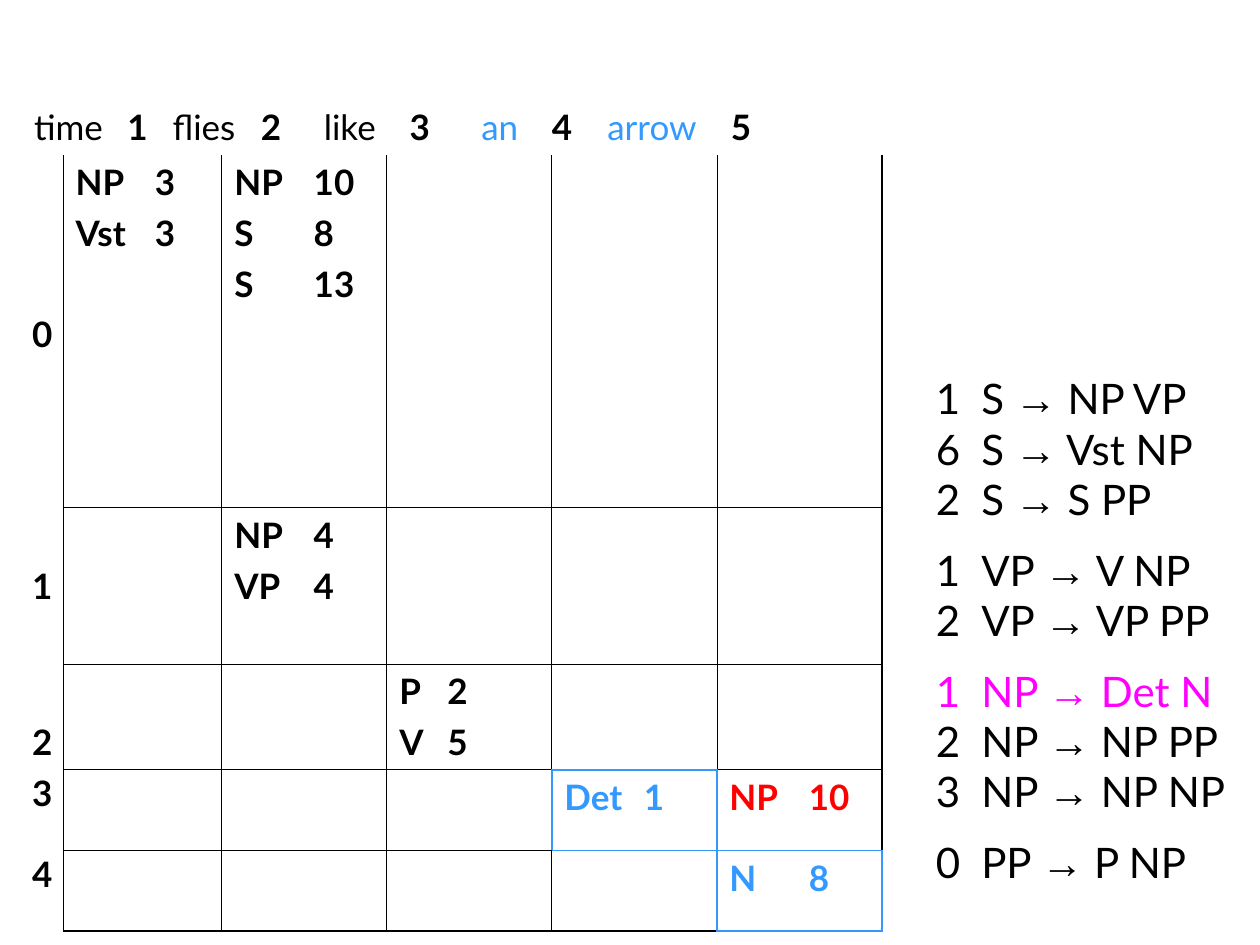
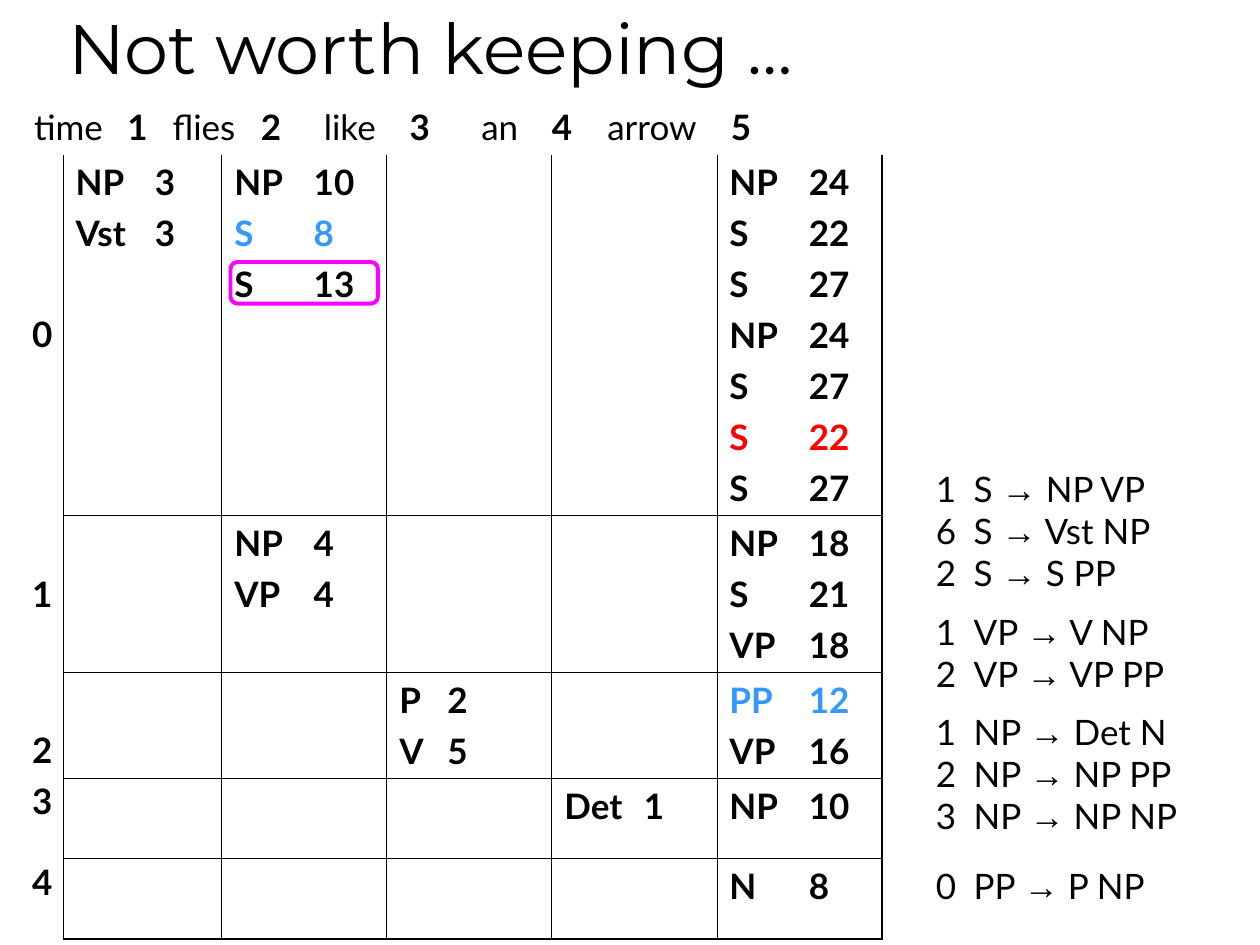
from itertools import product

from lxml.etree import SubElement
from pptx import Presentation
from pptx.dml.color import RGBColor
from pptx.enum.shapes import MSO_SHAPE
from pptx.enum.text import MSO_ANCHOR, MSO_AUTO_SIZE, PP_ALIGN
from pptx.oxml.ns import qn
from pptx.util import Inches, Pt

# Shared style
BLACK, BLUE, RED, MAGENTA = "000000", "3399FF", "FF0000", "FF00FF"
TEXT_FONT, ARROW_FONT, TITLE_FONT = "Lato", "Arial", "Montserrat"
TABLE_SIZE = 20
THIN, THICK = 0.45, 1.08

# Parse chart layout
COLUMN_WIDTHS = [0.33, 1.26] + [1.31] * 4
LAST_ROW, LAST_COLUMN = 5, 5
SIDES = {"L": (0, -1), "R": (0, 1), "T": (-1, 0), "B": (1, 0)}
LINE_PITCH = 0.4

# Words of the sentence and the positions between them, with their tab stops
SENTENCE = ["time", "1", "flies", "2", "like", "3", "an", "4", "arrow", "5"]
SENTENCE_TABS = [0.74, 1.1, 1.8, 2.3, 2.98, 3.55, 4.11, 4.55, 5.53]

# Entries by (row, column): category, weight and an optional colour
FIRST_ENTRIES = {
    (1, 1): [("NP", 3), ("Vst", 3)],
    (1, 2): [("NP", 10), ("S", 8), ("S", 13)],
    (2, 2): [("NP", 4), ("VP", 4)],
    (3, 3): [("P", 2), ("V", 5)],
    (4, 4): [("Det", 1, BLUE)],
    (4, 5): [("NP", 10, RED)],
    (5, 5): [("N", 8, BLUE)],
}
FULL_ENTRIES = FIRST_ENTRIES | {
    (1, 2): [("NP", 10), ("S", 8, BLUE), ("S", 13)],
    (1, 5): [("NP", 24), ("S", 22), ("S", 27), ("NP", 24), ("S", 27),
             ("S", 22, RED), ("S", 27)],
    (2, 5): [("NP", 18), ("S", 21), ("VP", 18)],
    (3, 5): [("PP", 12, BLUE), ("VP", 16)],
    (4, 4): [("Det", 1)],
    (4, 5): [("NP", 10)],
    (5, 5): [("N", 8)],
}

# Grammar rules: weight, left side, right side
GRAMMAR = [
    (1, "S", "NP VP"), (6, "S", "Vst NP"), (2, "S", "S PP"),
    (1, "VP", "V NP"), (2, "VP", "VP PP"),
    (1, "NP", "Det N"), (2, "NP", "NP PP"), (3, "NP", "NP NP"),
    (0, "PP", "P NP"),
]


def color(hex_string):
    return RGBColor.from_string(hex_string)


def style(paragraph, size, font_color=BLACK, name=TEXT_FONT, bold=False):
    font = paragraph.font
    font.size, font.name, font.bold = Pt(size), name, bold
    font.color.rgb = color(font_color)


def set_tabs(paragraph, *positions):
    tab_list = SubElement(paragraph._p.get_or_add_pPr(), qn("a:tabLst"))
    for position in positions:
        SubElement(tab_list, qn("a:tab"), pos=str(Inches(position)), algn="l")


def add_run(paragraph, text):
    run = paragraph.add_run()
    run.text = text
    return run


def next_paragraph(frame, index):
    return frame.add_paragraph() if index else frame.paragraphs[0]


def edge_style(row, column, side, highlighted):
    """Colour and width of one side of a cell, or None for no line."""
    row_step, column_step = SIDES[side]
    neighbour = (row + row_step, column + column_step)
    if (row, column) in highlighted or neighbour in highlighted:
        return BLUE, THICK
    if row == 0 or neighbour[0] == 0 or (column == 0 and side != "R"):
        return None
    if neighbour[0] > LAST_ROW or neighbour[1] > LAST_COLUMN:
        return BLACK, THICK
    return BLACK, THIN


def set_borders(cell, row, column, highlighted):
    properties = cell._tc.get_or_add_tcPr()
    for side in SIDES:
        edge = edge_style(row, column, side, highlighted)
        line = SubElement(properties, qn(f"a:ln{side}"))
        if edge is None:
            SubElement(line, qn("a:noFill"))
            continue
        line.set("w", str(Pt(edge[1])))
        fill = SubElement(line, qn("a:solidFill"))
        SubElement(fill, qn("a:srgbClr"), val=edge[0])


def fill_sentence(cell, active_words):
    paragraph = cell.text_frame.paragraphs[0]
    set_tabs(paragraph, *SENTENCE_TABS)
    style(paragraph, TABLE_SIZE)
    for index, word in enumerate(SENTENCE):
        run = add_run(paragraph, ("\t" if index else "") + word)
        run.font.bold = word.isdigit()
        if word in active_words:
            run.font.color.rgb = color(BLUE)


def fill_row_label(cell, row):
    cell.margin_left = cell.margin_right = 0
    paragraph = cell.text_frame.paragraphs[0]
    paragraph.alignment = PP_ALIGN.CENTER
    if row == 1:
        cell.margin_top = Inches(0.05 + 3 * LINE_PITCH)
    else:
        paragraph.line_spacing = 2.2 if row < 4 else 0.9
    style(paragraph, TABLE_SIZE, bold=True)
    add_run(paragraph, str(row - 1))


def fill_entries(cell, entries, tab):
    for index, (category, weight, *entry_color) in enumerate(entries):
        paragraph = next_paragraph(cell.text_frame, index)
        set_tabs(paragraph, tab)
        if index:
            paragraph.space_before = Pt(5)
        style(paragraph, TABLE_SIZE, *entry_color, bold=True)
        add_run(paragraph, f"{category}\t{weight}")


def add_parse_chart(slide, left, top, first_height, entries,
                    active_words=(), highlighted=()):
    heights = [0.44, first_height, 1.24, 0.84, 0.64, 0.64]
    table = slide.shapes.add_table(
        len(heights), len(COLUMN_WIDTHS), Inches(left), Inches(top),
        Inches(sum(COLUMN_WIDTHS)), Inches(sum(heights))).table
    table.first_row = table.horz_banding = False
    for table_column, width in zip(table.columns, COLUMN_WIDTHS):
        table_column.width = Inches(width)
    for table_row, height in zip(table.rows, heights):
        table_row.height = Inches(height)
    table.cell(0, 0).merge(table.cell(0, LAST_COLUMN))
    fill_sentence(table.cell(0, 0), active_words)

    for row, column in product(range(LAST_ROW + 1), range(LAST_COLUMN + 1)):
        cell = table.cell(row, column)
        set_borders(cell, row, column, highlighted)
        cell.fill.background()
        if row and column == 0:
            fill_row_label(cell, row)
        elif (row, column) in entries:
            tab = 0.38 if column == 3 else 0.63
            fill_entries(cell, entries[row, column], tab)


def add_grammar(slide, left, top, width, height, size,
                active_rule=None, last_spacing=1.4):
    box = slide.shapes.add_textbox(
        Inches(left), Inches(top), Inches(width), Inches(height))
    frame = box.text_frame
    frame.word_wrap = True
    frame.auto_size = MSO_AUTO_SIZE.SHAPE_TO_FIT_TEXT
    previous_head = GRAMMAR[0][1]
    for index, rule in enumerate(GRAMMAR):
        weight, head, body = rule
        paragraph = next_paragraph(frame, index)
        set_tabs(paragraph, 0.015 * size)
        if head != previous_head:
            is_last = rule == GRAMMAR[-1]
            paragraph.line_spacing = last_spacing if is_last else 1.4
        style(paragraph, size, MAGENTA if rule == active_rule else BLACK)
        add_run(paragraph, f"{weight}\t{head} ")
        add_run(paragraph, "→").font.name = ARROW_FONT
        add_run(paragraph, f" {body}")
        previous_head = head


def set_title(slide, text, left, top, width, height):
    title = slide.shapes.title
    title.left, title.top = Inches(left), Inches(top)
    title.width, title.height = Inches(width), Inches(height)
    frame = title.text_frame
    frame.auto_size = MSO_AUTO_SIZE.NONE
    frame.vertical_anchor = MSO_ANCHOR.BOTTOM
    paragraph = frame.paragraphs[0]
    paragraph.alignment = PP_ALIGN.LEFT
    style(paragraph, 40, name=TITLE_FONT)
    add_run(paragraph, text)


def add_entry_marker(slide, left, top, width, height):
    marker = slide.shapes.add_shape(
        MSO_SHAPE.ROUNDED_RECTANGLE,
        Inches(left), Inches(top), Inches(width), Inches(height))
    marker.shadow.inherit = False
    marker.fill.background()
    marker.line.color.rgb = color(MAGENTA)
    marker.line.width = Pt(2.25)


def build_first_step(presentation):
    slide = presentation.slides.add_slide(presentation.slide_layouts[6])
    add_parse_chart(slide, 0.17, 0.79, 2.8, FIRST_ENTRIES,
                    active_words=("an", "arrow"),
                    highlighted=((4, 4), (5, 5)))
    add_grammar(slide, 7.33, 2.91, 2.67, 4.18, 24,
                active_rule=(1, "NP", "Det N"))


def build_not_worth_keeping(presentation):
    slide = presentation.slides.add_slide(presentation.slide_layouts[5])
    set_title(slide, "Not worth keeping …", 0.44, 0.06, 8.5, 0.69)
    add_parse_chart(slide, 0.17, 0.79, 2.85, FULL_ENTRIES)
    add_grammar(slide, 7.33, 3.66, 2.67, 3.6, 20, last_spacing=1.65)
    add_entry_marker(slide, 1.83, 2.08, 1.17, 0.33)


def main():
    presentation = Presentation()
    presentation.slide_width = Inches(10)
    presentation.slide_height = Inches(7.5)
    build_first_step(presentation)
    build_not_worth_keeping(presentation)
    presentation.save("out.pptx")


if __name__ == "__main__":
    main()
